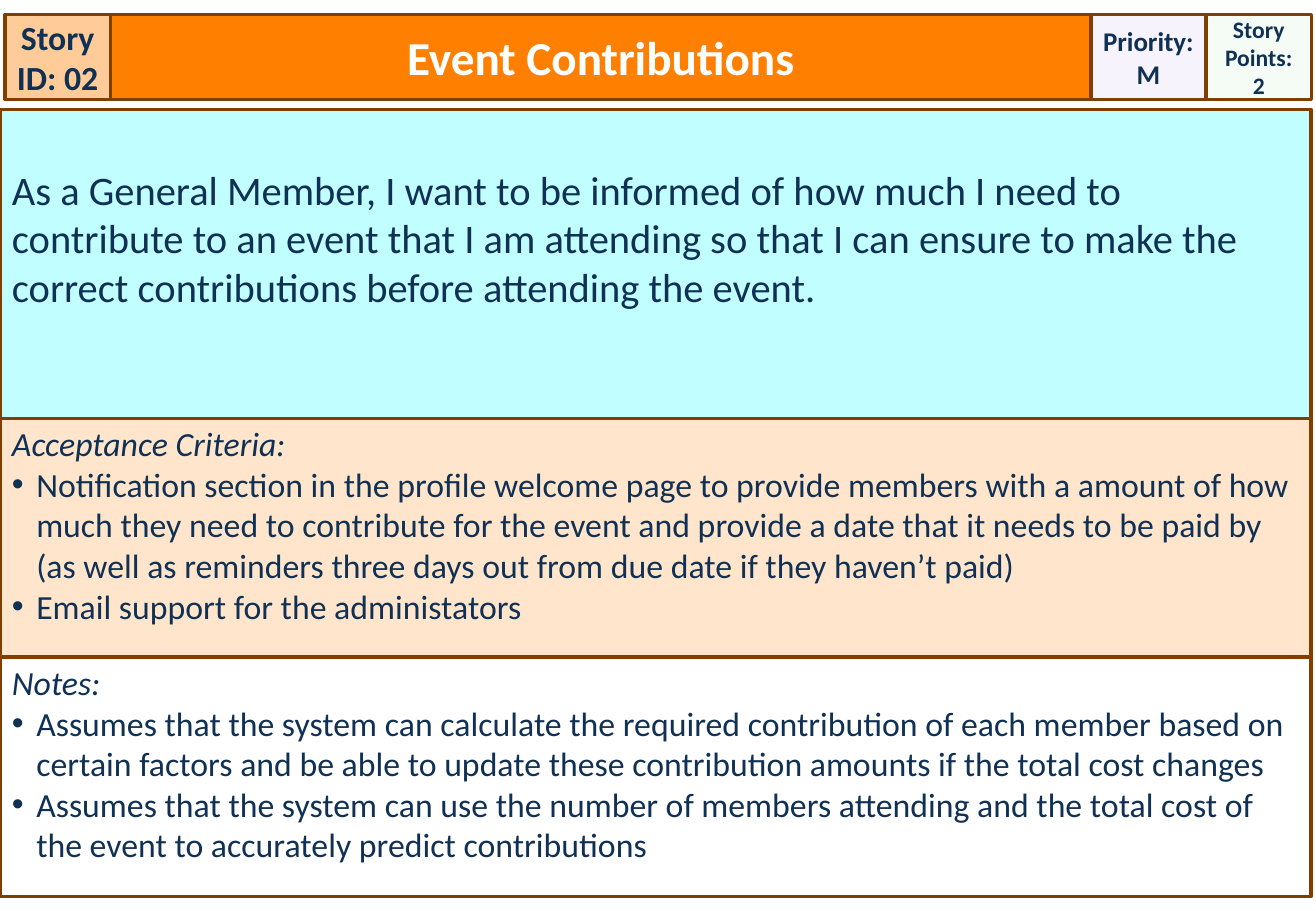
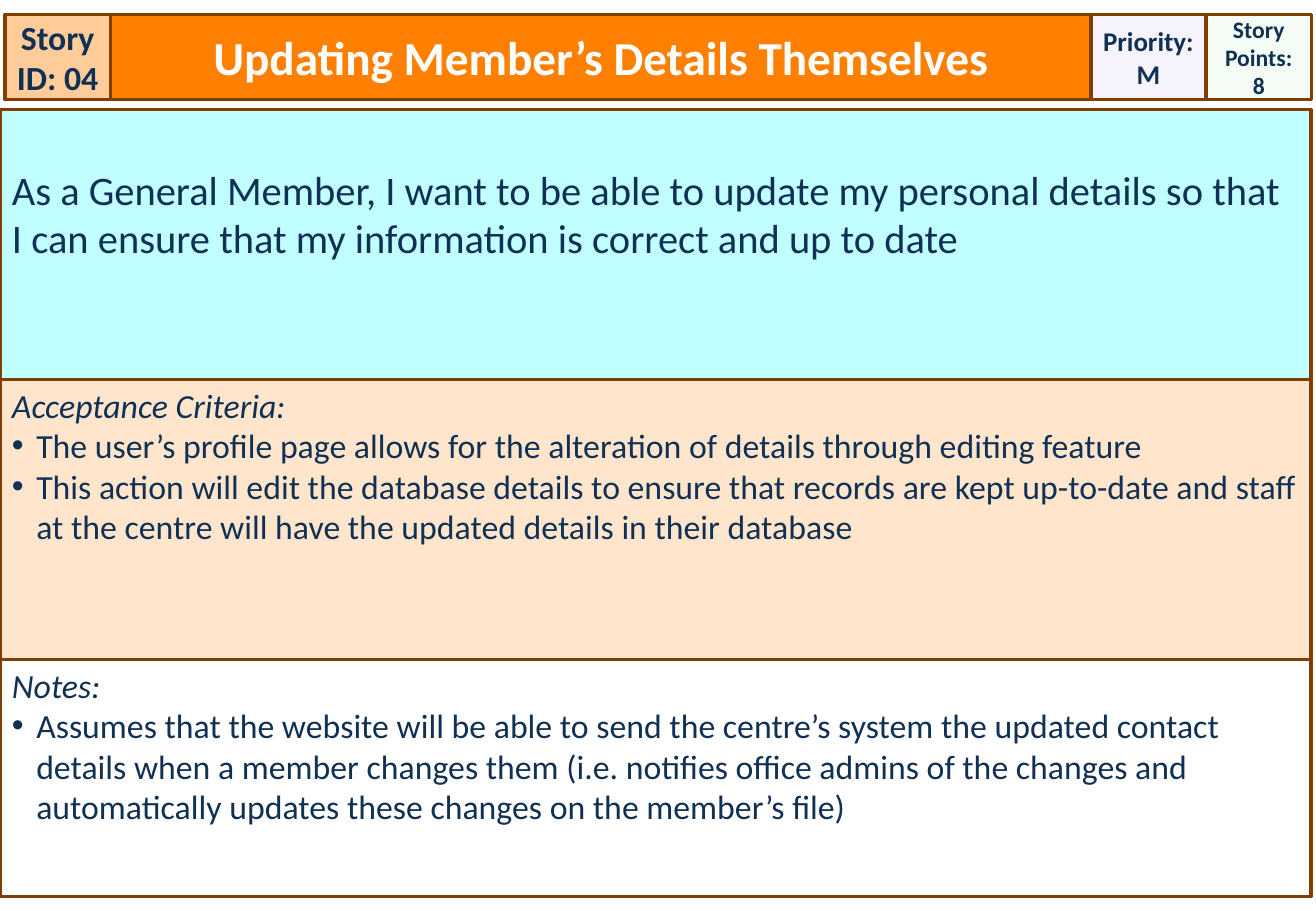
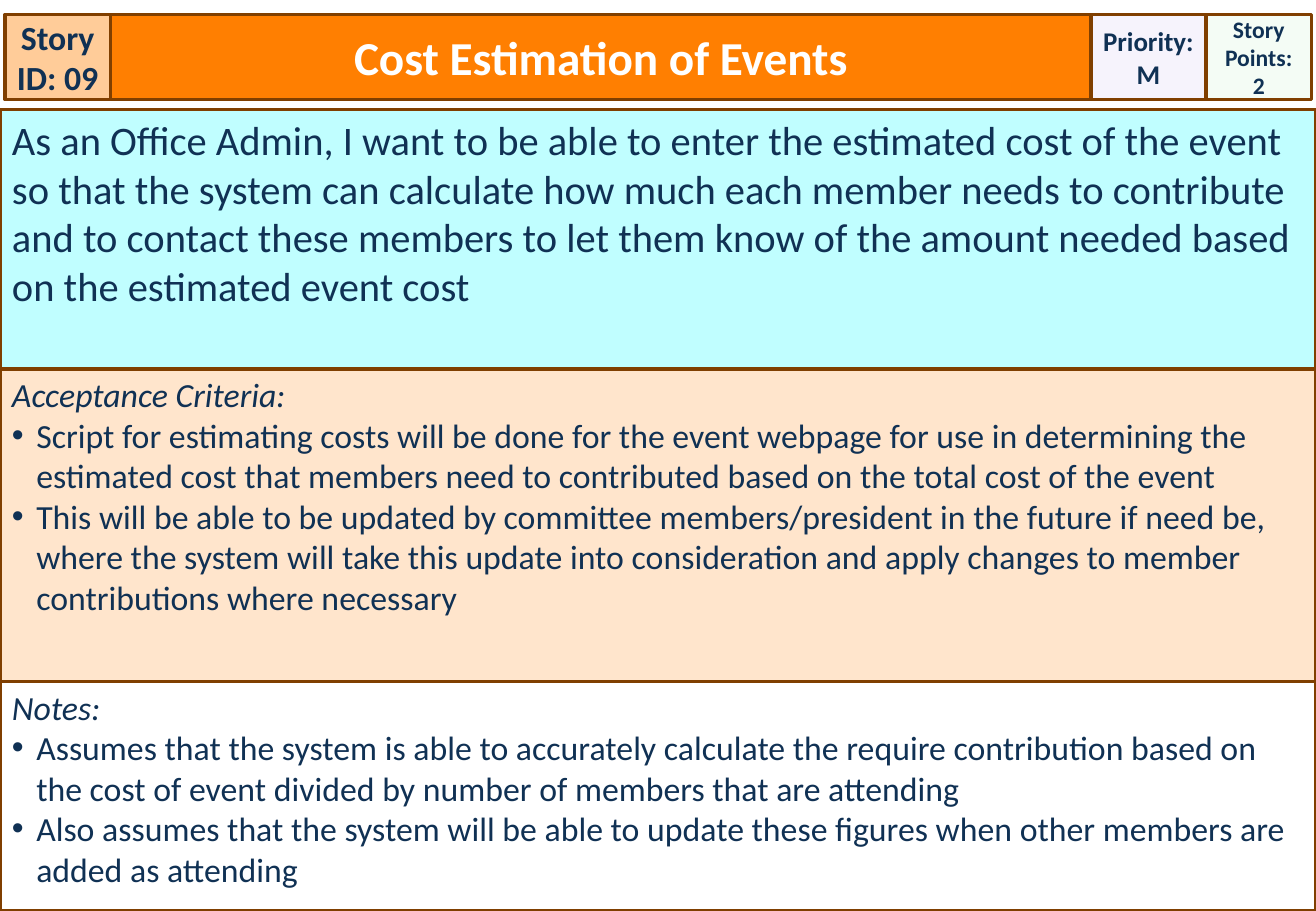
from dataclasses import dataclass
from typing import Optional

from lxml.etree import SubElement
from pptx import Presentation
from pptx.dml.color import RGBColor
from pptx.enum.shapes import MSO_SHAPE as Preset
from pptx.enum.text import MSO_ANCHOR as Anchor, PP_ALIGN as Align
from pptx.oxml.ns import qn
from pptx.shapes.autoshape import Shape
from pptx.slide import Slide
from pptx.text.text import TextFrame
from pptx.util import Pt

NAVY = RGBColor(0x10, 0x31, 0x54)
WHITE = RGBColor(0xFF, 0xFF, 0xFF)
BROWN = RGBColor(0x80, 0x3F, 0x00)
ORANGE = RGBColor(0xFF, 0x7F, 0x01)
PEACH = RGBColor(0xFF, 0xCC, 0x99)
LIGHT_PEACH = RGBColor(0xFF, 0xE5, 0xCC)
CYAN = RGBColor(0xC0, 0xFE, 0xFF)
LILAC = RGBColor(0xF6, 0xF3, 0xFC)
GREEN = RGBColor(0xCC, 0xF0, 0xCD)

FONT = "Calibri"
SLIDE_WIDTH, SLIDE_HEIGHT = 780, 540
HEADER_TOP, HEADER_HEIGHT = 8.64, 50.4
HEADER_EDGES = (2.88, 65.52, 646.56, 714.8, 777.4)
BODY_TOP = 64.8
BULLET_INDENT = 14.4


@dataclass(frozen=True)
class HeaderCell:
    column: int
    lines: tuple[str, ...]
    fill: RGBColor
    size: float
    colour: RGBColor = NAVY
    side_inset: float = 0
    opacity: Optional[int] = None
    wrap: bool = True


@dataclass(frozen=True)
class Story:
    number: str
    title: str
    points: str
    statement: str
    criteria: tuple[str, ...]
    assumptions: tuple[str, ...]
    criteria_top: float
    assumptions_top: float
    bottom: float = 531.4
    width: float = 777
    statement_inset: float = 32.9
    priority: str = "M"


STORIES = (
    Story(
        number="02",
        title="Event Contributions",
        points="2",
        statement="As a General Member, I want to be informed of how much I need to "
                  "contribute to an event that I am attending so that I can ensure to "
                  "make the correct contributions before attending the event.",
        criteria=(
            "Notification section in the profile welcome page to provide members with "
            "a amount of how much they need to contribute for the event and provide a "
            "date that it needs to be paid by (as well as reminders three days out from "
            "due date if they haven’t paid)",
            "Email support for the administators",
        ),
        assumptions=(
            "Assumes that the system can calculate the required contribution of each "
            "member based on certain factors and be able to update these contribution "
            "amounts if the total cost changes",
            "Assumes that the system can use the number of members attending and the "
            "total cost of the event to accurately predict contributions",
        ),
        criteria_top=248,
        assumptions_top=389.5,
    ),
    Story(
        number="04",
        title="Updating Member’s Details Themselves",
        points="8",
        statement="As a General Member, I want to be able to update my personal details "
                  "so that I can ensure that my information is correct and up to date",
        criteria=(
            "The user’s profile page allows for the alteration of details through "
            "editing feature",
            "This action will edit the database details to ensure that records are kept "
            "up-to-date and staff at the centre will have the updated details in their "
            "database",
        ),
        assumptions=(
            "Assumes that the website will be able to send the centre’s system the "
            "updated contact details when a member changes them (i.e. notifies office "
            "admins of the changes and automatically updates these changes on the "
            "member’s file)",
        ),
        criteria_top=225,
        assumptions_top=391,
    ),
    Story(
        number="09",
        title="Cost Estimation of Events",
        points="2",
        statement="As an Office Admin, I want to be able to enter the estimated cost of "
                  "the event so that the system can calculate how much each member needs "
                  "to contribute and to contact these members to let them know of the "
                  "amount needed based on the estimated event cost",
        criteria=(
            "Script for estimating costs will be done for the event webpage for use in "
            "determining the estimated cost that members need to contributed based on "
            "the total cost of the event",
            "This will be able to be updated by committee members/president in the "
            "future if need be, where the system will take this update into "
            "consideration and apply changes to member contributions where necessary",
        ),
        assumptions=(
            "Assumes that the system is able to accurately calculate the require "
            "contribution based on the cost of event divided by number of members that "
            "are attending",
            "Also assumes that the system will be able to update these figures when "
            "other members are added as attending",
        ),
        criteria_top=218.9,
        assumptions_top=403.9,
        bottom=SLIDE_HEIGHT,
        width=SLIDE_WIDTH,
        statement_inset=3.6,
    ),
)


def add_box(slide: Slide, left: float, top: float, width: float, height: float,
            fill: RGBColor, *, opacity: Optional[int] = None,
            side_inset: float = 7.2, top_inset: float = 3.6,
            anchor: Anchor = Anchor.TOP, wrap: bool = True) -> Shape:
    """Add a brown-edged rectangle; opacity is a percentage."""
    shape = slide.shapes.add_shape(
        Preset.RECTANGLE, Pt(left), Pt(top), Pt(width), Pt(height))
    shape.shadow.inherit = False
    shape.fill.solid()
    shape.fill.fore_color.rgb = fill
    if opacity is not None:
        solid_fill = shape.element.spPr.find(qn("a:solidFill"))
        SubElement(solid_fill.find(qn("a:srgbClr")), qn("a:alpha"),
                   val=str(opacity * 1000))
    shape.line.color.rgb = BROWN
    shape.line.width = Pt(2)
    frame = shape.text_frame
    frame.margin_left = frame.margin_right = Pt(side_inset)
    frame.margin_top, frame.margin_bottom = Pt(top_inset), Pt(3.6)
    frame.vertical_anchor = anchor
    frame.word_wrap = wrap
    return shape


def add_text(frame: TextFrame, text: str, *, size: float, colour: RGBColor = NAVY,
             bold: bool = False, italic: bool = False, bullet: bool = False,
             alignment: Align = Align.LEFT) -> None:
    """Add one paragraph, filling the frame's empty first paragraph if there is one."""
    paragraph = frame.add_paragraph() if frame.text else frame.paragraphs[0]
    paragraph.alignment = alignment
    if bullet:
        properties = paragraph._p.get_or_add_pPr()
        properties.set("marL", str(Pt(BULLET_INDENT)))
        properties.set("indent", str(-Pt(BULLET_INDENT)))
        SubElement(properties, qn("a:buFont"), typeface="Arial")
        SubElement(properties, qn("a:buChar"), char="•")
    run = paragraph.add_run()
    run.text = text
    run.font.name = FONT
    run.font.size = Pt(size)
    run.font.bold = bold
    run.font.italic = italic
    run.font.color.rgb = colour


def draw_header(slide: Slide, story: Story) -> None:
    cells = (
        HeaderCell(0, (f"Story ID: {story.number}",), PEACH, 20),
        HeaderCell(1, (story.title,), ORANGE, 28, colour=WHITE, side_inset=7.2),
        HeaderCell(3, ("Story Points:", story.points), GREEN, 14, opacity=20),
        HeaderCell(2, ("Priority:", story.priority), LILAC, 16, wrap=False),
    )
    for cell in cells:
        left, right = HEADER_EDGES[cell.column:cell.column + 2]
        box = add_box(slide, left, HEADER_TOP, right - left, HEADER_HEIGHT, cell.fill,
                      opacity=cell.opacity, side_inset=cell.side_inset,
                      anchor=Anchor.MIDDLE, wrap=cell.wrap)
        for line in cell.lines:
            add_text(box.text_frame, line, size=cell.size, colour=cell.colour,
                     bold=True, alignment=Align.CENTER)


def draw_list_panel(slide: Slide, heading: str, items: tuple[str, ...], top: float,
                    bottom: float, width: float, fill: RGBColor) -> None:
    box = add_box(slide, 0, top, width, bottom - top, fill, top_inset=2.9)
    add_text(box.text_frame, heading, size=20, italic=True)
    for item in items:
        add_text(box.text_frame, item, size=20, bullet=True)


def draw_story(slide: Slide, story: Story) -> None:
    draw_header(slide, story)
    statement = add_box(slide, 0, BODY_TOP, story.width, story.criteria_top - BODY_TOP,
                        CYAN, top_inset=story.statement_inset)
    add_text(statement.text_frame, story.statement, size=24)
    draw_list_panel(slide, "Acceptance Criteria:", story.criteria, story.criteria_top,
                    story.assumptions_top, story.width, LIGHT_PEACH)
    draw_list_panel(slide, "Notes:", story.assumptions, story.assumptions_top,
                    story.bottom, story.width, WHITE)


def main() -> None:
    presentation = Presentation()
    presentation.slide_width = Pt(SLIDE_WIDTH)
    presentation.slide_height = Pt(SLIDE_HEIGHT)
    blank_layout = presentation.slide_layouts[6]
    for story in STORIES:
        draw_story(presentation.slides.add_slide(blank_layout), story)
    presentation.save("out.pptx")


if __name__ == "__main__":
    main()
